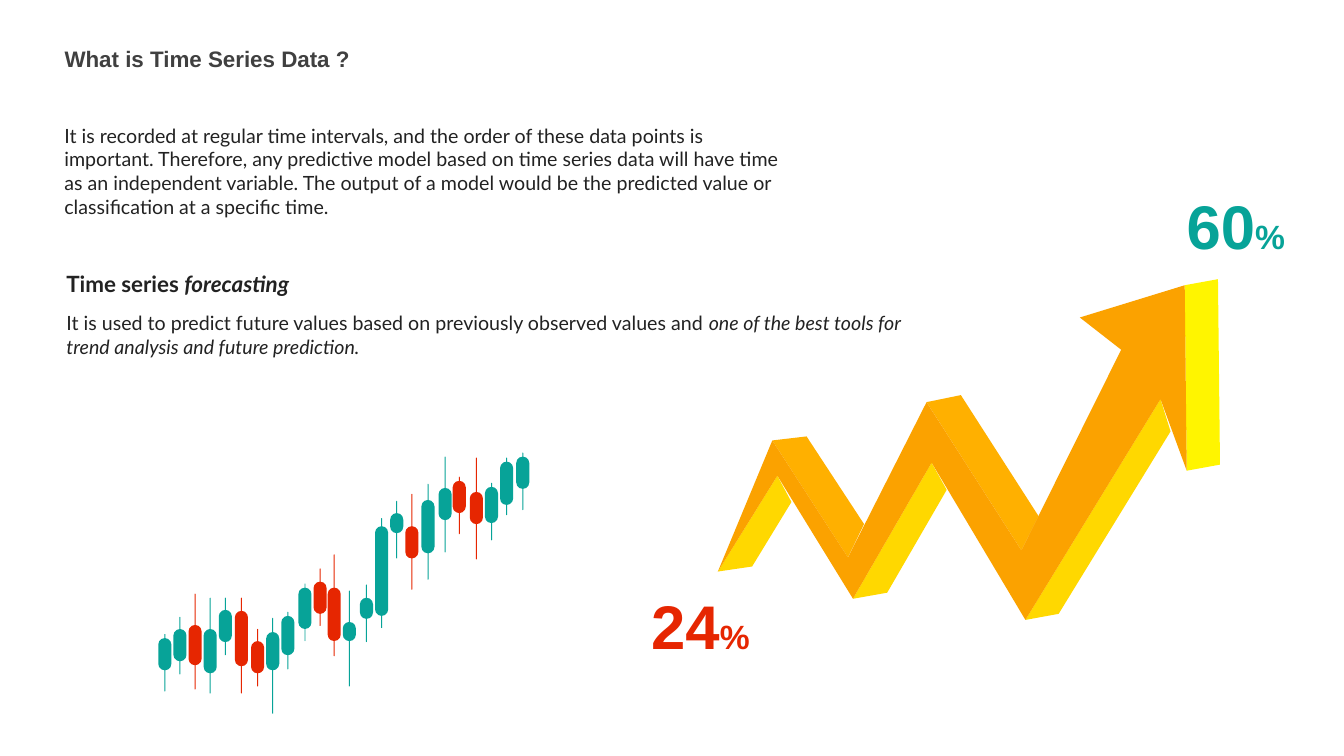
from typing import NamedTuple

from pptx import Presentation
from pptx.dml.color import RGBColor
from pptx.enum.shapes import MSO_SHAPE
from pptx.enum.text import MSO_ANCHOR, MSO_AUTO_SIZE, PP_ALIGN
from pptx.shapes.autoshape import Shape
from pptx.shapes.shapetree import GroupShapes, SlideShapes
from pptx.util import Pt

PX = 9144
ROUNDED = MSO_SHAPE.ROUNDED_RECTANGLE
TOP, MIDDLE = MSO_ANCHOR.TOP, MSO_ANCHOR.MIDDLE
LEFT = PP_ALIGN.LEFT
NO_AUTOFIT = MSO_AUTO_SIZE.NONE

TEAL = RGBColor(0x07, 0xA3, 0x98)
RED = RGBColor(0xE6, 0x26, 0x01)
GREY = RGBColor(0x40, 0x40, 0x40)
INK = RGBColor(0x22, 0x22, 0x22)
ORANGE = RGBColor(0xFB, 0xA2, 0x00)
AMBER = RGBColor(0xFF, 0xB0, 0x00)
GOLD = RGBColor(0xFF, 0xD8, 0x00)
YELLOW = RGBColor(0xFF, 0xF5, 0x00)

BODY_WIDTH = 13
WICK_WIDTH = 1
WICK_OFFSET = 6


class Box(NamedTuple):
    left: int
    top: int
    width: int
    height: int


class TextRun(NamedTuple):
    text: str
    size: int
    color: RGBColor
    font: str = "Lato"
    bold: bool = False
    italic: bool = False


class TextBlock(NamedTuple):
    box: Box
    anchor: MSO_ANCHOR
    runs: list[TextRun]


class Face(NamedTuple):
    color: RGBColor
    points: list[tuple[int, int]]


class Candle(NamedTuple):
    left: int
    body_top: int
    body_height: int
    wick_top: int
    wick_height: int
    color: RGBColor


def percentage(left: int, top: int, number: str, color: RGBColor) -> TextBlock:
    return TextBlock(Box(left, top, 118, 84), MIDDLE, [
        TextRun(number, 44, color, "Arial", bold=True),
        TextRun("%", 24, color, "Arial", bold=True),
    ])


TITLE = TextBlock(Box(54, 40, 504, 37), TOP, [
    TextRun("What is Time Series Data ?", 16, GREY, "Arial", bold=True),
])

TEXT_BLOCKS = [
    TextBlock(Box(54, 118, 733, 104), TOP, [
        TextRun("It is recorded at regular time intervals, and the order of these data "
                "points is important. Therefore, any predictive model based on time "
                "series data will have time as an independent variable. The output of "
                "a model would be the predicted value or classification at a specific "
                "time.", 14, INK),
    ]),
    TextBlock(Box(56, 242, 385, 79), MIDDLE, [
        TextRun("Time series ", 16, INK, bold=True),
        TextRun("forecasting", 16, INK, bold=True, italic=True),
    ]),
    TextBlock(Box(56, 304, 894, 57), TOP, [
        TextRun("It is used to predict future values based on previously observed "
                "values and ", 14, INK),
        TextRun("one of the best tools for trend analysis and future prediction.",
                14, INK, italic=True),
    ]),
    percentage(636, 578, "24", RED),
    percentage(1167, 181, "60", TEAL),
]

ARROW_FACES = [
    Face(AMBER, [(766, 437), (800, 433), (857, 520), (841, 553)]),
    Face(AMBER, [(919, 399), (953, 392), (1030, 512), (1013, 546)]),
    Face(GOLD, [(712, 567), (746, 562), (785, 498), (771, 472)]),
    Face(GOLD, [(846, 594), (880, 588), (939, 486), (924, 459)]),
    Face(GOLD, [(1017, 615), (1050, 609), (1161, 428), (1151, 396)]),
    Face(YELLOW, [(1175, 283), (1208, 277), (1210, 461), (1177, 467)]),
    Face(ORANGE, [(712, 567), (766, 437), (841, 553), (919, 399), (1013, 546),
                  (1112, 347), (1071, 315), (1175, 283), (1177, 467), (1151, 396),
                  (1017, 615), (924, 459), (846, 594), (771, 472)]),
]

CANDLES = [
    Candle(157, 633, 32, 629, 57, TEAL),
    Candle(172, 624, 32, 612, 57, TEAL),
    Candle(187, 620, 40, 589, 95, RED),
    Candle(202, 624, 44, 593, 95, TEAL),
    Candle(217, 605, 32, 593, 57, TEAL),
    Candle(233, 606, 55, 593, 95, RED),
    Candle(249, 636, 32, 624, 57, RED),
    Candle(264, 627, 38, 613, 95, TEAL),
    Candle(279, 611, 39, 607, 57, TEAL),
    Candle(296, 583, 41, 579, 57, TEAL),
    Candle(311, 577, 32, 564, 57, RED),
    Candle(325, 583, 53, 550, 101, RED),
    Candle(340, 617, 19, 586, 95, TEAL),
    Candle(357, 593, 21, 580, 57, TEAL),
    Candle(372, 522, 89, 514, 109, TEAL),
    Candle(387, 509, 20, 497, 57, TEAL),
    Candle(402, 522, 32, 490, 95, RED),
    Candle(418, 496, 53, 480, 95, TEAL),
    Candle(435, 484, 32, 453, 95, TEAL),
    Candle(449, 477, 32, 473, 57, RED),
    Candle(466, 488, 32, 454, 101, RED),
    Candle(481, 483, 36, 479, 57, TEAL),
    Candle(496, 458, 43, 454, 57, TEAL),
    Candle(512, 453, 32, 449, 57, TEAL),
]


def paint(shape: Shape, color: RGBColor) -> None:
    shape.shadow.inherit = False
    shape.fill.solid()
    shape.fill.fore_color.rgb = color
    shape.line.fill.background()


def write_text(shape: Shape, block: TextBlock) -> None:
    shape.left, shape.top, shape.width, shape.height = (n * PX for n in block.box)
    frame = shape.text_frame
    frame.word_wrap = True
    frame.auto_size = NO_AUTOFIT
    frame.vertical_anchor = block.anchor
    paragraph = frame.paragraphs[0]
    paragraph.alignment = LEFT
    for text_run in block.runs:
        run = paragraph.add_run()
        run.text = text_run.text
        run.font.name = text_run.font
        run.font.size = Pt(text_run.size)
        run.font.bold = text_run.bold
        run.font.italic = text_run.italic
        run.font.color.rgb = text_run.color


def draw_face(shapes: SlideShapes | GroupShapes, face: Face) -> None:
    builder = shapes.build_freeform(*face.points[0], scale=PX)
    builder.add_line_segments(face.points[1:], close=True)
    paint(builder.convert_to_shape(), face.color)


def draw_bar(shapes: GroupShapes, box: Box, color: RGBColor) -> None:
    bar = shapes.add_shape(ROUNDED, *(n * PX for n in box))
    bar.adjustments[0] = 0.5
    paint(bar, color)


def draw_candle(shapes: GroupShapes, candle: Candle) -> None:
    wick = Box(candle.left + WICK_OFFSET, candle.wick_top, WICK_WIDTH, candle.wick_height)
    body = Box(candle.left, candle.body_top, BODY_WIDTH, candle.body_height)
    for box in (wick, body):
        draw_bar(shapes, box, candle.color)


def main() -> None:
    presentation = Presentation()
    presentation.slide_width = 1333 * PX
    presentation.slide_height = 750 * PX
    slide = presentation.slides.add_slide(presentation.slide_layouts[5])
    shapes = slide.shapes

    write_text(shapes.title, TITLE)
    for block in TEXT_BLOCKS:
        write_text(shapes.add_textbox(0, 0, 0, 0), block)

    arrow = shapes.add_group_shape()
    for face in ARROW_FACES:
        draw_face(arrow.shapes, face)

    candlesticks = shapes.add_group_shape()
    for candle in CANDLES:
        draw_candle(candlesticks.shapes, candle)

    presentation.save("out.pptx")


if __name__ == "__main__":
    main()
